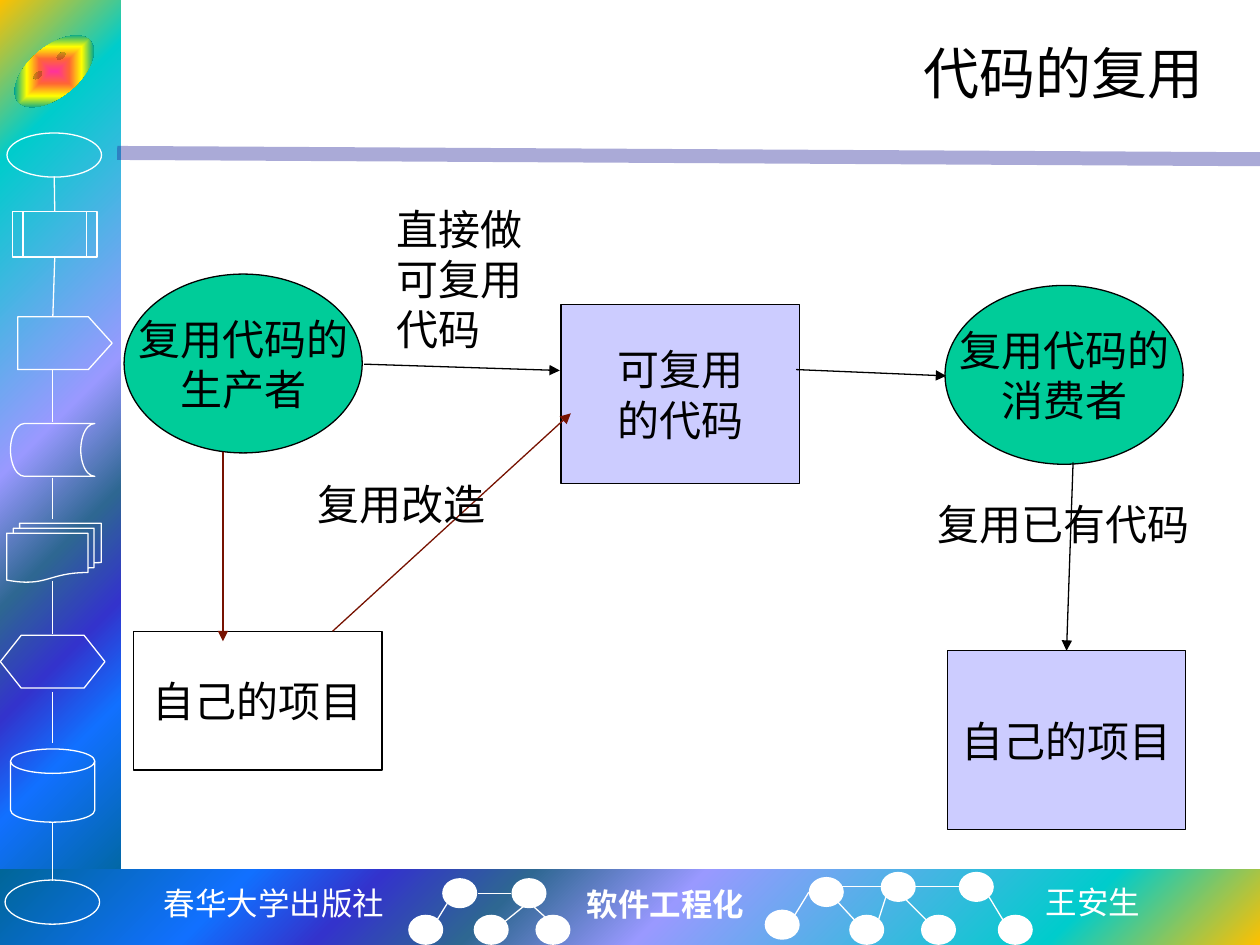
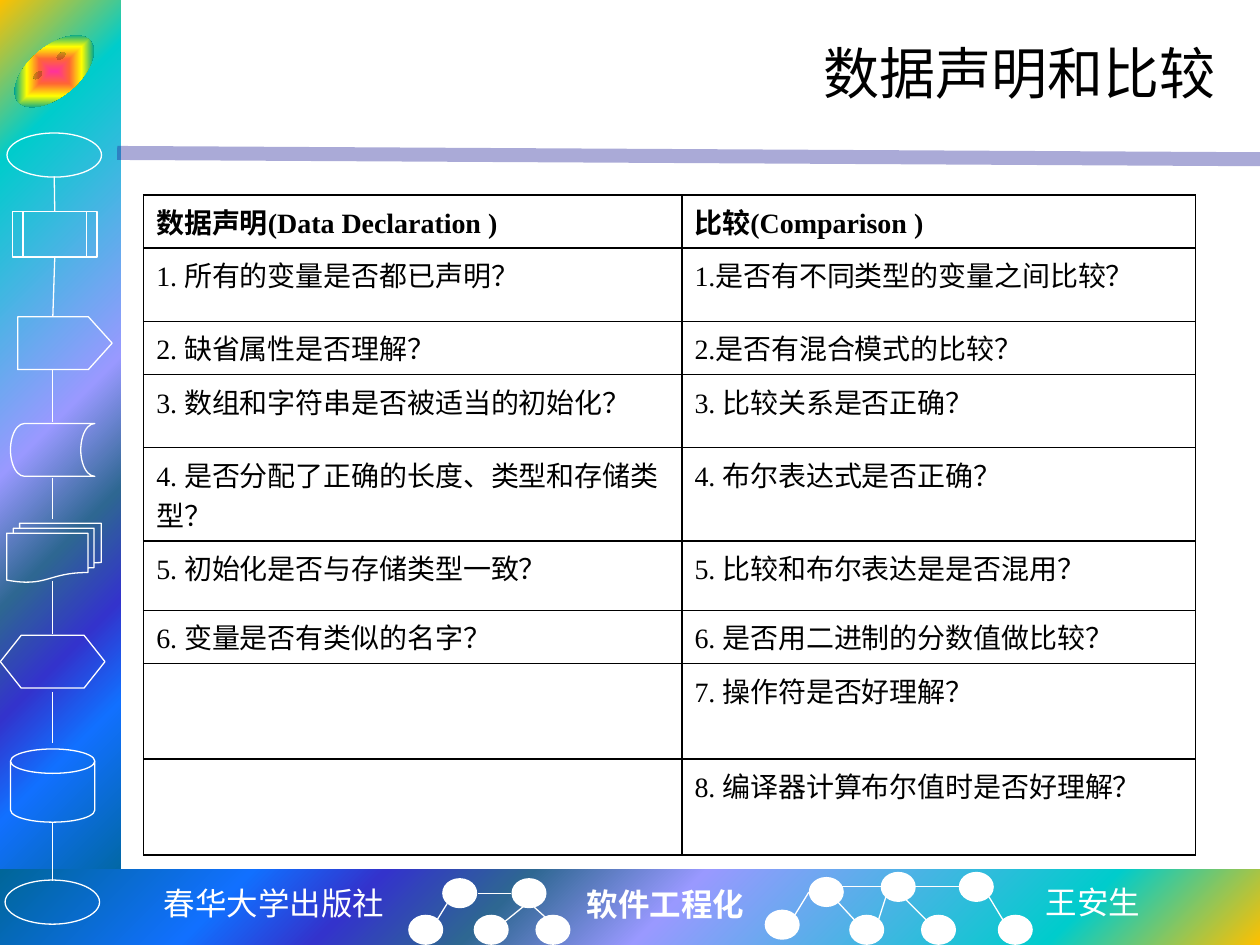
"""Build two lecture slides: a code reuse diagram and a review checklist."""
from dataclasses import dataclass

from lxml import etree
from pptx import Presentation
from pptx.dml.color import RGBColor
from pptx.enum.shapes import MSO_CONNECTOR, MSO_SHAPE
from pptx.enum.text import MSO_ANCHOR, MSO_AUTO_SIZE, PP_ALIGN
from pptx.oxml.ns import qn
from pptx.util import Pt

RECT, OVAL, FACE, TAG = MSO_SHAPE.RECTANGLE, MSO_SHAPE.OVAL, MSO_SHAPE.SMILEY_FACE, MSO_SHAPE.PENTAGON
ROUTINE, STORAGE = MSO_SHAPE.FLOWCHART_PREDEFINED_PROCESS, MSO_SHAPE.FLOWCHART_STORED_DATA
DISK, PREPARATION = MSO_SHAPE.FLOWCHART_MAGNETIC_DISK, MSO_SHAPE.FLOWCHART_PREPARATION
DOCUMENTS = MSO_SHAPE.FLOWCHART_MULTIDOCUMENT
STRAIGHT = MSO_CONNECTOR.STRAIGHT
LEFT, CENTER, RIGHT = PP_ALIGN.LEFT, PP_ALIGN.CENTER, PP_ALIGN.RIGHT
TOP, MIDDLE = MSO_ANCHOR.TOP, MSO_ANCHOR.MIDDLE
FIT, FIXED = MSO_AUTO_SIZE.SHAPE_TO_FIT_TEXT, MSO_AUTO_SIZE.NONE


@dataclass(frozen=True)
class Theme:
    black: str = "000000"
    white: str = "FFFFFF"
    rule: str = "262699"
    person: str = "00CC99"
    code: str = "CCCCFF"
    rework: str = "771201"
    band: tuple = ((0, "FFC000"), (16, "00CCCC"), (47, "9999FF"), (60, "2E6792"),
                   (71, "3333CC"), (81, "1170FF"), (100, "006699"))
    badge: tuple = ((0, "FF3399"), (25, "FF6633"), (50, "FFFF00"), (75, "01A78F"), (100, "3366FF"))
    serif: str = "Times New Roman"
    mono: str = "Noto Sans Mono"
    sans: str = "Noto Sans CJK SC"
    title: int = 32
    body: int = 24
    footer: int = 18
    cell: int = 16
    hairline: float = 0.75


T = Theme()


def write(tf, text, size, color=T.black, font=T.serif, bold=False, align=LEFT):
    for i, words in enumerate(text.split("\n")):
        p = tf.add_paragraph() if i else tf.paragraphs[0]
        p.alignment = align
        r = p.add_run()
        r.text = words
        for key, value in {"size": Pt(size), "name": font, "bold": bold}.items():
            setattr(r.font, key, value)
        r.font.color.rgb = RGBColor.from_string(color)
        etree.SubElement(r._r.get_or_add_rPr(), qn("a:ea"), typeface=T.sans)


def gradient(sp, stops, path, focus):
    grad = etree.Element(qn("a:gradFill"), rotWithShape="1")
    stop_list = etree.SubElement(grad, qn("a:gsLst"))
    for position, color in stops:
        stop = etree.SubElement(stop_list, qn("a:gs"), pos=str(position * 1000))
        etree.SubElement(stop, qn("a:srgbClr"), val=color)
    path_el = etree.SubElement(grad, qn("a:path"), path=path)
    etree.SubElement(path_el, qn("a:fillToRect"),
                     {side: str(value * 1000) for side, value in zip("ltrb", focus)})
    sp.fill.background()
    none = sp.element.spPr.find(qn("a:noFill"))
    none.getparent().replace(none, grad)


TOP_LEFT, BOTTOM_RIGHT, MIDDLE_POINT = (0, 0, 100, 100), (100, 100, 0, 0), (50,) * 4
GRADIENTS = {
    "side band": (T.band, "circle", TOP_LEFT),
    "footer band": (T.band, "circle", BOTTOM_RIGHT),
    "badge": (T.badge, "shape", MIDDLE_POINT),
}
ADJUSTMENTS = {"tag": 0.45, "badge": 0.05}
ROTATIONS = {"badge": -40}

DOT_CORNERS = [
    (252.7, 501.8), (233.3, 522.7), (270.7, 522.7), (292.3, 501.8), (306, 522.7), (437, 519.8),
    (462.2, 501.1), (485.3, 522.7), (503.3, 498.2), (526.3, 522.7), (547.9, 498.2), (570.2, 522.7),
]
FRAME_SHAPES = [
    ("side band", RECT, (0, 0, 69.1, 510.5), None, None, ""),
    ("footer band", RECT, (0, 496.8, 720, 43.2), None, None, ""),
    ("badge", FACE, (4, 26.5, 54, 28.5), None, None, ""),
    ("start", OVAL, (4, 76, 54, 25.2), None, T.white, ""),
    ("routine", ROUTINE, (7.2, 121, 48.2, 25.9), None, T.white, ""),
    ("tag", TAG, (10.1, 181, 54, 30.2), None, T.white, ""),
    ("storage", STORAGE, (6, 242, 48.2, 30.2), None, T.white, ""),
    ("documents", DOCUMENTS, (3.8, 299, 54, 33.8), None, T.white, ""),
    ("preparation", PREPARATION, (0.2, 363, 59.8, 30.2), None, T.white, ""),
    ("disk", DISK, (6, 428, 48.2, 41.8), None, T.white, ""),
    ("end", OVAL, (2.9, 502.9, 54, 25.2), None, T.white, ""),
]
FRAME_SHAPES += [(f"dot {i}", OVAL, (x, y, 20, 17.2), T.white, None, "")
                 for i, (x, y) in enumerate(DOT_CORNERS, 1)]

FLOW_GAPS = [(211, 241.2), (272.9, 296.6), (331.9, 362.2), (395.3, 424.8), (470.2, 503.3)]
TREE_EDGES = [
    ((249.8, 525.6), (255.6, 516.2)), ((288, 527), (299.5, 517.7)),
    ((292.3, 510.5), (272.9, 510.5)), ((312.5, 524.9), (305.3, 518.4)),
    ((454.3, 522.7), (462.2, 509.8)), ((488.2, 525.6), (478.8, 515.5)),
    ((481, 506.5), (506.2, 506.5)), ((501.8, 526.3), (506.2, 512.6)),
    ((529.2, 525.6), (514.8, 511.2)), ((522.7, 506.5), (547.9, 506.5)),
    ((573.1, 525.6), (565.2, 512.6)),
]
FRAME_EDGES = [((30.2, y1), (30.2, y2)) for y1, y2 in FLOW_GAPS] + TREE_EDGES
FRAME_EDGES += [((31, 100.8), ("routine", 0)), (("routine", 2), (30.2, 180.7))]
FRAME_LINKS = [(*edge, T.white, False) for edge in FRAME_EDGES]

FOOTERS = [
    ((85.7, 501.8, 141.8, 28.8), "春华大学出版社",
     {"size": T.footer, "color": T.white, "font": T.mono, "align": CENTER}),
    ((328.3, 502.2, 105.1, 28.8), "软件工程化", {"size": T.footer, "color": T.white, "bold": True}),
    ((590.4, 501.1, 69.1, 28.8), "王安生", {"size": T.footer, "color": T.white, "font": T.sans}),
]

NODE = (136.1, 102.2)
REUSE_SHAPES = [
    ("producer", OVAL, (70.9, 156.6, *NODE), T.person, T.black, "复用代码的\n生产者"),
    ("reusable code", RECT, (320.6, 174.2, *NODE), T.code, T.black, "可复用\n的代码"),
    ("consumer", OVAL, (540, 163.1, *NODE), T.person, T.black, "复用代码的\n消费者"),
    ("producer project", RECT, (76.5, 360.8, 141.8, 79.2), None, T.black, "自己的项目"),
    ("consumer project", RECT, (541.4, 371.9, *NODE), T.code, T.black, "自己的项目"),
]
REUSE_LINKS = [
    ((208.1, 208.1), (319.9, 211.7), T.black, True),
    ((455, 211.2), (540.7, 214.8), T.black, True),
    ((127.4, 258.5), (127.4, 366.5), T.rework, True),
    ((190.1, 360.7), (326.2, 236.2), T.rework, True),
    ((613.2, 264.2), ("consumer project", 0), T.black, True),
]
REUSE_LABELS = [
    ((174.2, 270, 110.2, 36), "复用改造", {"size": T.body}),
    ((219.6, 112.5, 86.4, 93.6), "直接做\n可复用\n代码", {"size": T.body}),
    ((528.5, 281.5, 158.4, 36), "复用已有代码", {"size": T.body}),
]

CHECKLIST = [
    ("数据声明(Data Declaration )", "比较(Comparison )"),
    ("1. 所有的变量是否都已声明？", "1.是否有不同类型的变量之间比较？"),
    ("2. 缺省属性是否理解？", "2.是否有混合模式的比较？"),
    ("3. 数组和字符串是否被适当的初始化？", "3. 比较关系是否正确？"),
    ("4. 是否分配了正确的长度、类型和存储类型？", "4. 布尔表达式是否正确？"),
    ("5. 初始化是否与存储类型一致？", "5. 比较和布尔表达是是否混用？"),
    ("6. 变量是否有类似的名字？", "6. 是否用二进制的分数值做比较？"),
    ("", "7. 操作符是否好理解？"),
    ("", "8. 编译器计算布尔值时是否好理解？"),
]
COLUMN_WIDTHS = (307.6, 293.6)
ROW_HEIGHTS = (30.4, 41.8, 30.4, 41.8, 53.4, 39.6, 30.4, 54.7, 54.7)

SLIDES = [
    ("代码的复用 ", REUSE_SHAPES, REUSE_LINKS, REUSE_LABELS),
    ("数据声明和比较", [], [], []),
]

prs = Presentation()
prs.slide_width, prs.slide_height = Pt(720), Pt(540)

for title, shapes, links, labels in SLIDES:
    s = prs.slides.add_slide(prs.slide_layouts[6])
    nodes = {}
    for name, kind, box, fill, line, text in FRAME_SHAPES + shapes:
        sp = nodes[name] = s.shapes.add_shape(kind, *map(Pt, box))
        sp.shadow.inherit = False
        sp.rotation = ROTATIONS.get(name, 0)
        if name in ADJUSTMENTS:
            sp.adjustments[0] = ADJUSTMENTS[name]
        if name in GRADIENTS:
            gradient(sp, *GRADIENTS[name])
        elif fill:
            sp.fill.solid()
            sp.fill.fore_color.rgb = RGBColor.from_string(fill)
        else:
            sp.fill.background()
        if line:
            sp.line.color.rgb = RGBColor.from_string(line)
            sp.line.width = Pt(T.hairline)
        else:
            sp.line.fill.background()
        if text:
            tf = sp.text_frame
            tf.word_wrap, tf.vertical_anchor = False, MIDDLE
            write(tf, text, T.body, align=CENTER)

    rule = ((67, 87.4), (720, 91), T.rule, False)
    for begin, end, color, arrow in [rule] + FRAME_LINKS + links:
        points = [(0, 0) if point[0] in nodes else point for point in (begin, end)]
        link = s.shapes.add_connector(STRAIGHT, *(Pt(v) for point in points for v in point))
        for point, join in ((begin, link.begin_connect), (end, link.end_connect)):
            if point[0] in nodes:
                join(nodes[point[0]], point[1])
        link.line.color.rgb = RGBColor.from_string(color)
        link.line.width = Pt(8 if color == T.rule else T.hairline)
        spPr = link.element.spPr
        etree.SubElement(spPr, qn("a:effectLst"))
        ln = spPr.find(qn("a:ln"))
        if arrow:
            etree.SubElement(ln, qn("a:tailEnd"), type="triangle")
        if color == T.rule:
            etree.SubElement(ln.find(".//" + qn("a:srgbClr")), qn("a:alpha"), val="39000")

    heading = ((90, 12.2, 612, 58.3), title, {"size": T.title, "align": RIGHT})
    for box, text, style in FOOTERS + [heading] + labels:
        sp = s.shapes.add_textbox(*map(Pt, box))
        is_title = style["size"] == T.title
        frame = {"word_wrap": is_title, "auto_size": FIXED if is_title else FIT,
                 "vertical_anchor": MIDDLE if is_title else TOP}
        for key, value in frame.items():
            setattr(sp.text_frame, key, value)
        write(sp.text_frame, text, **style)

table = s.shapes.add_table(len(CHECKLIST), len(COLUMN_WIDTHS), Pt(82.1), Pt(111.4),
                           Pt(sum(COLUMN_WIDTHS)), Pt(sum(ROW_HEIGHTS))).table
table.first_row = table.horz_banding = False
for column, width in zip(table.columns, COLUMN_WIDTHS):
    column.width = Pt(width)
for i, (row, height, texts) in enumerate(zip(table.rows, ROW_HEIGHTS, CHECKLIST)):
    row.height = Pt(height)
    for cell, text in zip(row.cells, texts):
        tcPr = cell._tc.get_or_add_tcPr()
        for side in ("lnL", "lnR", "lnT", "lnB"):
            border = etree.SubElement(tcPr, qn(f"a:{side}"), w=str(Pt(1)))
            solid = etree.SubElement(border, qn("a:solidFill"))
            etree.SubElement(solid, qn("a:srgbClr"), val=T.black)
        cell.fill.background()
        if text:
            write(cell.text_frame, text, T.cell, bold=i == 0)

prs.save("out.pptx")
